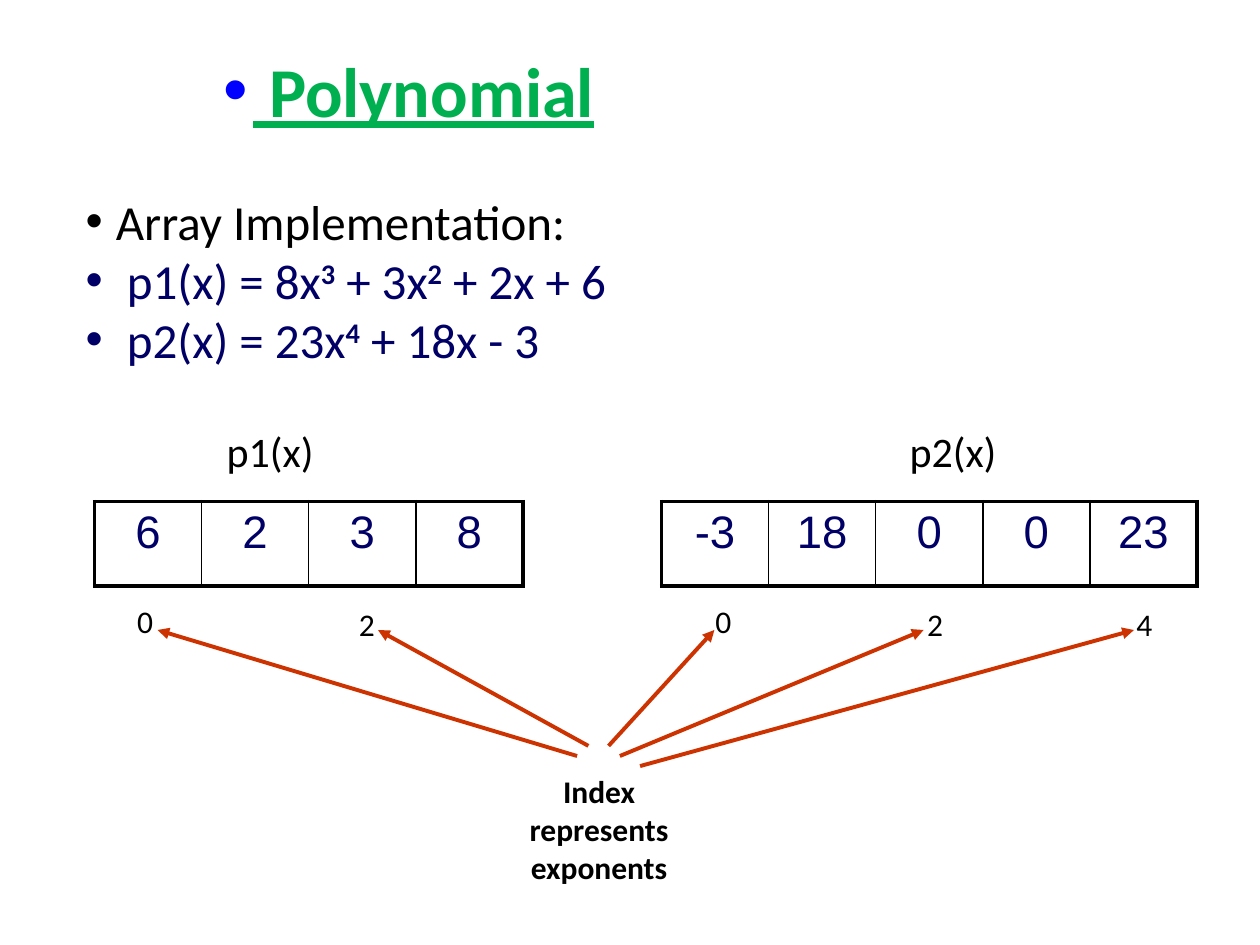
from lxml.etree import SubElement
from pptx import Presentation
from pptx.dml.color import RGBColor
from pptx.enum.shapes import MSO_CONNECTOR as Connector
from pptx.enum.text import MSO_AUTO_SIZE as AutoSize, PP_ALIGN as Align
from pptx.oxml.ns import qn
from pptx.util import Inches, Pt

BLACK = RGBColor(0x00, 0x00, 0x00)
NAVY = RGBColor(0x00, 0x00, 0x66)
BLUE = RGBColor(0x00, 0x00, 0xFF)
GREEN = RGBColor(0x00, 0xB0, 0x50)
RUST = RGBColor(0xCC, 0x33, 0x00)

TITLE = {"name": "Calibri", "size": Pt(40), "bold": True, "underline": True}
BODY = {"name": "Calibri", "size": Pt(28), "bold": False}
CAPTION = {"name": "Calibri", "size": Pt(24)}
INDEX = {"name": "Calibri", "size": Pt(18)}
NOTE = {**INDEX, "bold": True}
ENTRY = {"name": "Arial", "size": Pt(26)}

CELL_WIDTH, CELL_HEIGHT, TABLE_TOP = 0.85, 0.67, 3.98
THIN, THICK = Pt(0.96), Pt(2.21)


def add_span(para, text, formats, color):
    span = para.add_run()
    span.text = text
    for name, value in formats.items():
        setattr(span.font, name, value)
    span.font.color.rgb = color
    return span


def place(box, left, top, width, height):
    bounds = {"left": left, "top": top, "width": width, "height": height}
    for name, value in bounds.items():
        setattr(box, name, Inches(value))


def add_color(parent, color):
    fill = SubElement(parent, qn("a:solidFill"))
    SubElement(fill, qn("a:srgbClr"), val=str(color))


def add_bullet(para, color):
    para.alignment = Align.LEFT
    para.space_before = Pt(0)
    properties = para._p.get_or_add_pPr()
    properties.set("marL", str(Inches(0.24)))
    properties.set("indent", str(Inches(-0.24)))
    bullet_color = SubElement(properties, qn("a:buClr"))
    SubElement(bullet_color, qn("a:srgbClr"), val=str(color))
    SubElement(properties, qn("a:buFont"), typeface="Arial")
    SubElement(properties, qn("a:buChar"), char="•")


def fill_title(box):
    place(box, 1.67, 0.33, 4.58, 0.76)
    box.text_frame.auto_size = AutoSize.SHAPE_TO_FIT_TEXT
    para = box.text_frame.paragraphs[0]
    add_bullet(para, BLUE)
    add_span(para, " Polynomial", TITLE, GREEN)


def fill_body(box, lines):
    place(box, 0.58, 1.47, 9.17, 1.5)
    frame = box.text_frame
    frame.auto_size = AutoSize.SHAPE_TO_FIT_TEXT
    for number, (color, pieces) in enumerate(lines):
        para = frame.add_paragraph() if number else frame.paragraphs[0]
        add_bullet(para, color)
        for position, piece in enumerate(pieces):
            span = add_span(para, piece, BODY, color)
            if position % 2:
                span.font.bold = True
                span._r.get_or_add_rPr().set("baseline", "30000")


def add_label(page, text, bounds, formats, wrap=False, align=Align.LEFT):
    box = page.shapes.add_textbox(*map(Inches, bounds))
    box.text_frame.word_wrap = wrap
    box.text_frame.auto_size = AutoSize.SHAPE_TO_FIT_TEXT
    para = box.text_frame.paragraphs[0]
    para.alignment = align
    add_span(para, text, formats, BLACK)


def add_borders(cell, widths):
    properties = cell._tc.get_or_add_tcPr()
    for side, width in widths.items():
        line = SubElement(properties, qn(f"a:ln{side}"), w=str(width))
        add_color(line, BLACK)


def add_array(page, left, values):
    count = len(values)
    bounds = (left, TABLE_TOP, CELL_WIDTH * count, CELL_HEIGHT)
    table = page.shapes.add_table(1, count, *map(Inches, bounds)).table
    table.first_row = table.horz_banding = False
    for column, value in enumerate(values):
        table.columns[column].width = Inches(CELL_WIDTH)
        cell = table.cell(0, column)
        add_borders(cell, {
            "L": THICK if column == 0 else THIN,
            "R": THICK if column == count - 1 else THIN,
            "T": THICK,
            "B": THICK,
        })
        cell.fill.background()
        para = cell.text_frame.paragraphs[0]
        para.alignment = Align.CENTER
        para.space_before = Pt(5.2)
        add_span(para, value, ENTRY, NAVY)


def add_arrow(page, start, end):
    arrow = page.shapes.add_connector(Connector.STRAIGHT, *map(Inches, start + end))
    arrow.line.color.rgb = RUST
    arrow.line.width = Pt(2.25)
    SubElement(arrow.line._get_or_add_ln(), qn("a:tailEnd"), type="triangle")
    SubElement(arrow._element.spPr, qn("a:effectLst"))


def main():
    deck = Presentation()
    deck.slide_width, deck.slide_height = Inches(10), Inches(7.5)
    page = deck.slides.add_slide(deck.slide_layouts[1])

    fill_title(page.shapes.title)
    fill_body(page.placeholders[1], [
        (BLACK, ["Array Implementation:"]),
        (NAVY, [" p1(x) = 8x", "3", " + 3x", "2", " + 2x + 6"]),
        (NAVY, [" p2(x) = 23x", "4", " + 18x - 3"]),
    ])

    add_array(page, 0.75, ["6", "2", "3", "8"])
    add_array(page, 5.25, ["-3", "18", "0", "0", "23"])

    for text, left in [("p1(x)", 1.7), ("p2(x)", 7.12)]:
        add_label(page, text, (left, 3.33, 0.89, 0.5), CAPTION)

    indexes = [("0", 0.99, 4.73), ("2", 2.75, 4.75), ("0", 5.58, 4.73),
               ("2", 7.26, 4.75), ("4", 8.92, 4.75)]
    for text, left, top in indexes:
        add_label(page, text, (left, top, 0.32, 0.4), INDEX)

    arrows = [((4.58, 6), 1.25), ((4.67, 5.92), 3), ((4.83, 5.92), 5.67),
              ((4.92, 6), 7.33), ((5.08, 6.08), 9)]
    for start, tip in arrows:
        add_arrow(page, start, (tip, 5))

    add_label(page, "Index represents exponents", (3.92, 6.08, 1.67, 1), NOTE,
              wrap=True, align=Align.CENTER)
    deck.save("out.pptx")


if __name__ == "__main__":
    main()
